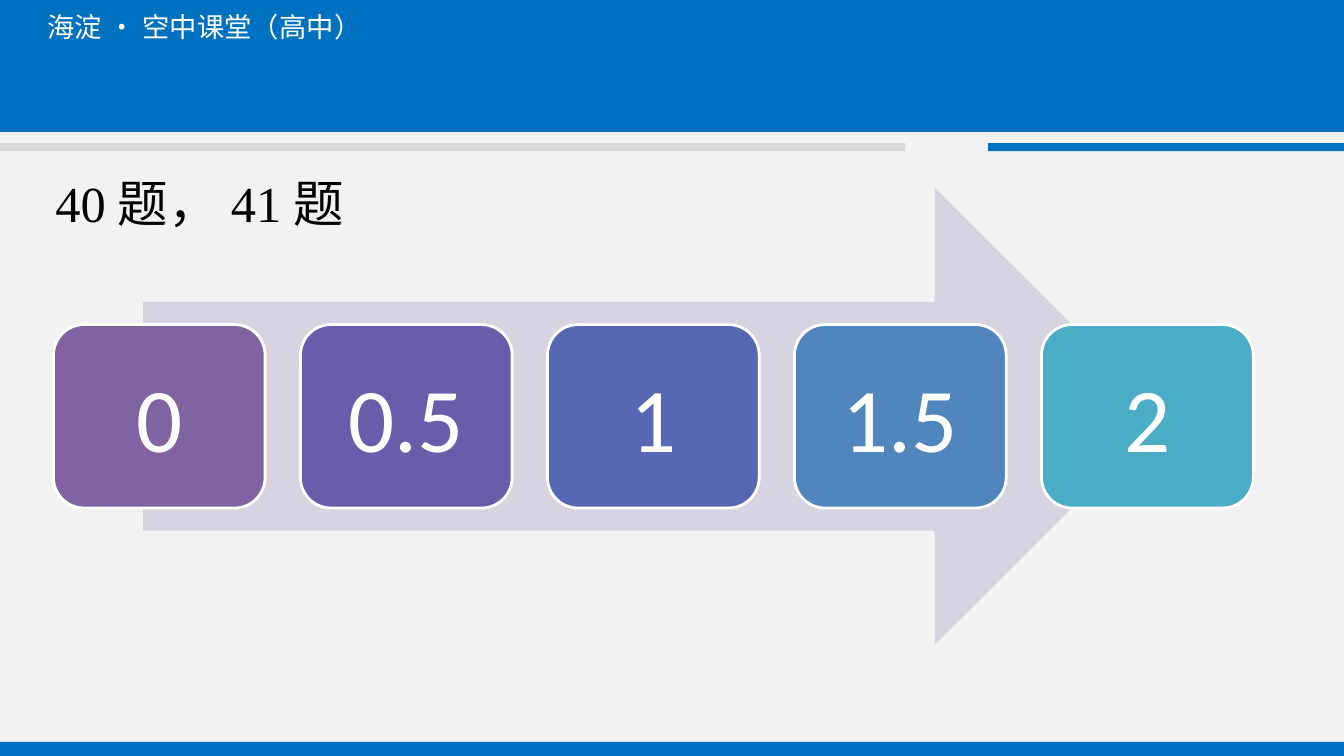
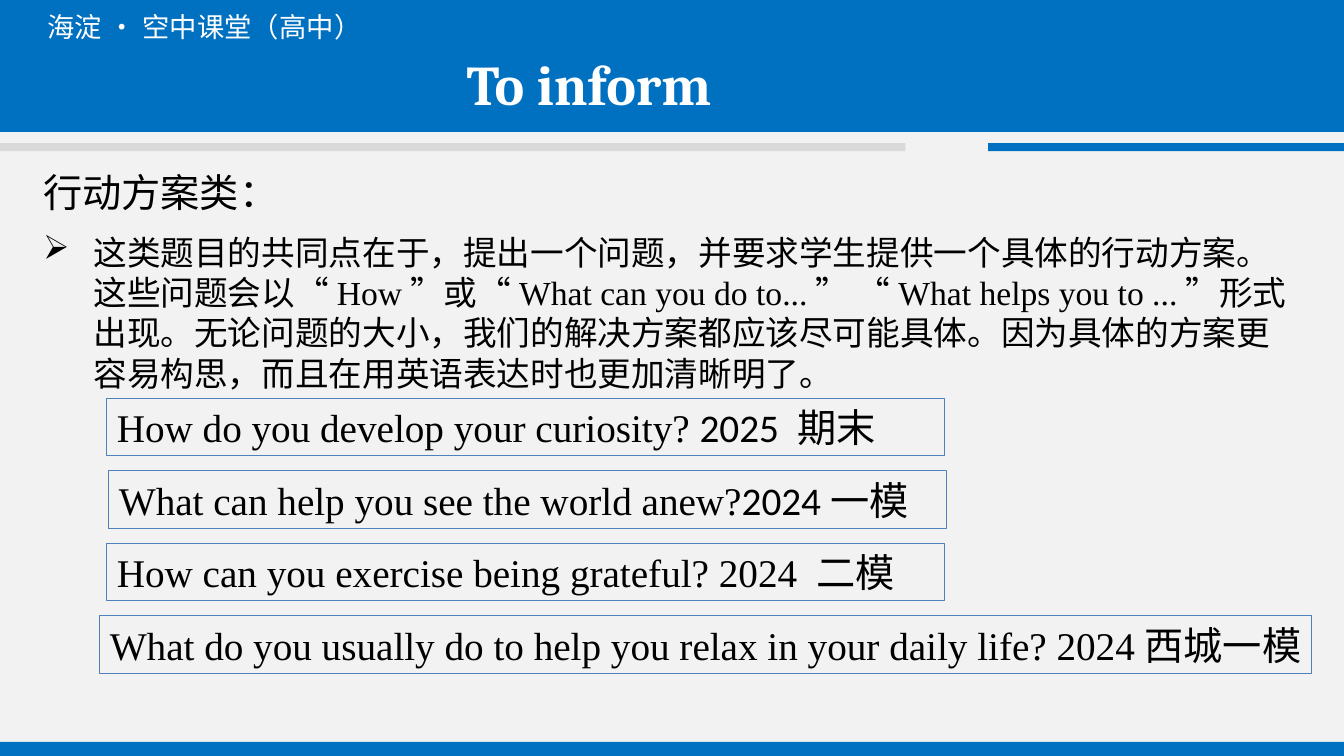
from lxml import etree
from pptx import Presentation
from pptx.dml.color import RGBColor
from pptx.enum.shapes import MSO_SHAPE as Shape
from pptx.enum.text import MSO_ANCHOR as Anchor, PP_ALIGN as Align
from pptx.oxml.ns import qn
from pptx.util import Inches, Pt

BLUE = RGBColor(0x00, 0x70, 0xC0)
GRAY = RGBColor(0xD9, 0xD9, 0xD9)
PAPER = RGBColor(0xF2, 0xF2, 0xF2)
BLACK = RGBColor(0x00, 0x00, 0x00)
WHITE = RGBColor(0xFF, 0xFF, 0xFF)
OUTLINE = RGBColor(0x4F, 0x81, 0xBD)
ARROW = RGBColor(0xD8, 0xD3, 0xE0)
TILE_COLORS = [
    RGBColor(0x80, 0x64, 0xA2),
    RGBColor(0x68, 0x5D, 0xAB),
    RGBColor(0x57, 0x67, 0xB4),
    RGBColor(0x51, 0x85, 0xBD),
    RGBColor(0x4B, 0xAC, 0xC6),
]

CHINESE = "Noto Sans CJK SC"
SERIF = "Times New Roman"
SANS = "Calibri"
HEADING = "Cambria"
LINE_FACTOR = 1.2


class Deck:
    """Holds the shared style and the slide being built."""

    def __init__(self):
        self.presentation = Presentation()
        self.presentation.slide_width = Inches(13.33)
        self.presentation.slide_height = Inches(7.5)
        background = self.presentation.slide_master.background.fill
        background.solid()
        background.fore_color.rgb = PAPER
        self.slide = None

    def new_slide(self):
        layout = self.presentation.slide_layouts[5]  # title only
        self.slide = self.presentation.slides.add_slide(layout)
        self.shape(Shape.RECTANGLE, 0, 7.36, 13.33, 0.14, BLUE)
        self.shape(Shape.RECTANGLE, 0, 0, 13.33, 1.31, BLUE)
        self.shape(Shape.RECTANGLE, 0, 1.42, 8.98, 0.08, GRAY)
        self.shape(Shape.RECTANGLE, 9.8, 1.42, 3.53, 0.08, BLUE)
        self.text_box(0.37, 0.05, 6.46, 0.49,
                      [("海淀·空中课堂（高中）", CHINESE)], 19.5, WHITE)

    def shape(self, kind, left, top, width, height, fill=None, line=None, weight=1):
        shape = self.slide.shapes.add_shape(
            kind, Inches(left), Inches(top), Inches(width), Inches(height))
        shape.shadow.inherit = False
        if fill is None:
            shape.fill.background()
        else:
            shape.fill.solid()
            shape.fill.fore_color.rgb = fill
        if line is None:
            shape.line.fill.background()
        else:
            shape.line.color.rgb = line
            shape.line.width = Pt(weight)
        return shape

    def set_text(self, shape, runs, size, color=BLACK, align=Align.LEFT,
                 anchor=Anchor.MIDDLE, bold=False):
        frame = shape.text_frame
        frame.word_wrap = True
        frame.vertical_anchor = anchor
        paragraph = frame.paragraphs[0]
        paragraph.alignment = align
        paragraph.space_before = Pt(0)
        paragraph.line_spacing = Pt(size * LINE_FACTOR)
        for text, font_name in runs:
            run = paragraph.add_run()
            run.text = text
            font = run.font
            font.name = font_name
            font.size = Pt(size)
            font.bold = bold
            font.color.rgb = color
            # East Asian characters use their own typeface
            latin = run._r.rPr.find(qn("a:latin"))
            east_asian = etree.Element(qn("a:ea"), typeface=CHINESE)
            latin.addnext(east_asian)
        return paragraph

    def text_box(self, left, top, width, height, runs, size, color=BLACK, bold=False):
        box = self.slide.shapes.add_textbox(
            Inches(left), Inches(top), Inches(width), Inches(height))
        return self.set_text(box, runs, size, color, anchor=Anchor.TOP, bold=bold)

    def title(self, left, top, runs, size):
        title = self.slide.shapes.title
        title.left, title.top = Inches(left), Inches(top)
        title.width, title.height = Inches(12.67), Inches(0.77)
        self.set_text(title, runs, size)

    def bullet_text(self, left, top, width, height, runs, size):
        paragraph = self.text_box(left, top, width, height, runs, size)
        properties = paragraph._p.get_or_add_pPr()
        properties.set("marL", str(Inches(0.5)))
        properties.set("indent", str(Inches(-0.5)))
        etree.SubElement(properties, qn("a:buChar"), char="➢")

    def tile(self, left, top, label, fill):
        tile = self.shape(Shape.ROUNDED_RECTANGLE, left, top, 2.1, 1.82, fill, WHITE, 2)
        self.set_text(tile, [(label, SANS)], 65, WHITE, Align.CENTER)

    def question(self, left, top, width, runs):
        box = self.shape(Shape.RECTANGLE, left, top, width, 0.57, None, OUTLINE, 0.75)
        box.text_frame.margin_right = Inches(0.05)
        self.set_text(box, runs, 28)


def build_score_slide(deck):
    deck.new_slide()
    deck.title(0.45, 1.62, [("40题，41题", SERIF)], 36)

    # Score scale on an arrow
    deck.shape(Shape.RIGHT_ARROW, 1.42, 1.86, 10.12, 4.54, ARROW)
    scores = ["0", "0.5", "1", "1.5", "2"]
    for index, (score, color) in enumerate(zip(scores, TILE_COLORS)):
        deck.tile(0.53 + 2.45 * index, 3.22, score, color)


def build_inform_slide(deck):
    deck.new_slide()
    deck.text_box(4.53, 0.44, 7.58, 0.77, [("To inform", HEADING)], 40, WHITE, bold=True)
    deck.title(0.33, 1.52, [("行动方案类：", CHINESE)], 28)

    # Explanation
    deck.bullet_text(0.33, 2.25, 12.67, 1.7, [
        ("这类题目的共同点在于，提出一个问题，并要求学生提供一个具体的行动方案。"
         "这些问题会以", CHINESE),
        ("“How”", SERIF),
        ("或", CHINESE),
        ("“What can you do to...” “What helps you to ...”", SERIF),
        ("形式出现。无论问题的大小，我们的解决方案都应该尽可能具体。"
         "因为具体的方案更容易构思，而且在用英语表达时也更加清晰明了。", CHINESE),
    ], 24)

    # Sample questions: left, width, runs
    questions = [
        (1.06, 8.31, [("How do you develop your curiosity? ", SERIF),
                      ("2025 期末", SANS)]),
        (1.08, 8.31, [("What can help you see the world anew?", SERIF),
                      ("2024一模", SANS)]),
        (1.06, 8.31, [("How can you exercise being grateful? 2024 二模", SERIF)]),
        (0.99, 12.02, [("What do you usually do to help you relax in your "
                        "daily life? 2024西城一模", SERIF)]),
    ]
    for index, (left, width, runs) in enumerate(questions):
        deck.question(left, 3.95 + 0.72 * index, width, runs)


def main():
    deck = Deck()
    build_score_slide(deck)
    build_inform_slide(deck)
    deck.presentation.save("out.pptx")


if __name__ == "__main__":
    main()
